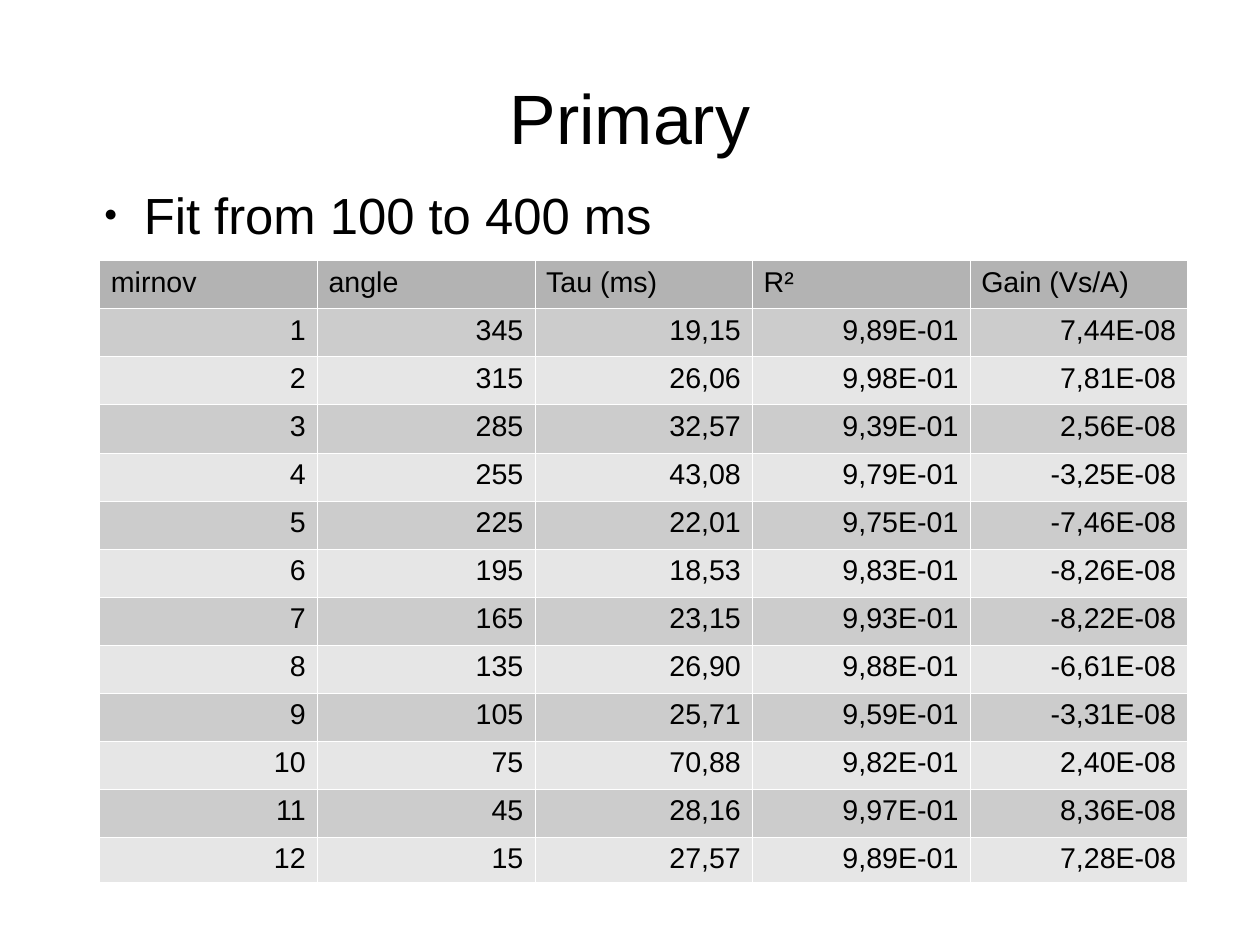
from dataclasses import dataclass

from lxml import etree
from pptx import Presentation
from pptx.dml.color import RGBColor
from pptx.enum.text import MSO_ANCHOR, PP_ALIGN
from pptx.oxml.ns import qn
from pptx.util import Cm, Inches, Pt

CENTER, LEFT, RIGHT = PP_ALIGN.CENTER, PP_ALIGN.LEFT, PP_ALIGN.RIGHT
TOP, MIDDLE = MSO_ANCHOR.TOP, MSO_ANCHOR.MIDDLE
TITLE_ONLY = 5
SLIDE_WIDTH, SLIDE_HEIGHT = Cm(28), Cm(21)


@dataclass(frozen=True)
class Theme:
    """Colours, font and type sizes of the slide."""
    font: str = "Arial"
    ink: str = "000000"
    rule: str = "FFFFFF"
    header: str = "B3B3B3"
    bands: tuple = ("CCCCCC", "E6E6E6")
    title_size: int = 44
    bullet_size: int = 32
    cell_size: int = 18
    rule_width: float = 0.06


THEME = Theme()

HEADINGS = ("mirnov", "angle", "Tau (ms)", "R²", "Gain (Vs/A)")
FITS = (
    ("19,15", "9,89E-01", "7,44E-08"),
    ("26,06", "9,98E-01", "7,81E-08"),
    ("32,57", "9,39E-01", "2,56E-08"),
    ("43,08", "9,79E-01", "-3,25E-08"),
    ("22,01", "9,75E-01", "-7,46E-08"),
    ("18,53", "9,83E-01", "-8,26E-08"),
    ("23,15", "9,93E-01", "-8,22E-08"),
    ("26,90", "9,88E-01", "-6,61E-08"),
    ("25,71", "9,59E-01", "-3,31E-08"),
    ("70,88", "9,82E-01", "2,40E-08"),
    ("28,16", "9,97E-01", "8,36E-08"),
    ("27,57", "9,89E-01", "7,28E-08"),
)
FIRST_ANGLE, ANGLE_STEP = 345, 30


def percent_box(left, top, width, height):
    """Turn percentages of the slide's size into a box."""
    return (round(left * SLIDE_WIDTH / 100), round(top * SLIDE_HEIGHT / 100),
            round(width * SLIDE_WIDTH / 100),
            round(height * SLIDE_HEIGHT / 100))


def style_paragraph(paragraph, size, align):
    """Set the font and alignment of a paragraph."""
    paragraph.alignment = align
    paragraph.font.name = THEME.font
    paragraph.font.size = Pt(size)
    paragraph.font.color.rgb = RGBColor.from_string(THEME.ink)


def clear_frame(frame, anchor):
    """Take the insets off a text frame and anchor its text."""
    frame.margin_left = frame.margin_right = 0
    frame.margin_top = frame.margin_bottom = 0
    frame.vertical_anchor = anchor
    frame.word_wrap = True


def place_title(slide, box, wording):
    """Move the title placeholder into the box and fill it."""
    title = slide.shapes.title
    title.left, title.top, title.width, title.height = box
    title.text_frame.text = wording
    clear_frame(title.text_frame, MIDDLE)
    style_paragraph(title.text_frame.paragraphs[0], THEME.title_size, CENTER)


def place_bullet(slide, box, wording):
    """Write one bulleted line in the box."""
    frame = slide.shapes.add_textbox(*box).text_frame
    clear_frame(frame, TOP)
    line = frame.paragraphs[0]
    line.text = wording
    properties = line._p.get_or_add_pPr()
    properties.set("marL", str(Inches(0.47)))
    properties.set("indent", str(Inches(-0.35)))
    colour = etree.SubElement(properties, qn("a:buClr"))
    etree.SubElement(colour, qn("a:srgbClr"), val=THEME.ink)
    etree.SubElement(properties, qn("a:buSzPct"), val="45000")
    etree.SubElement(properties, qn("a:buFont"), typeface=THEME.font)
    etree.SubElement(properties, qn("a:buChar"), char="●")
    style_paragraph(line, THEME.bullet_size, LEFT)


def rule_cell(cell):
    """Draw a hairline on the four sides of a cell."""
    properties = cell._tc.get_or_add_tcPr()
    for position, side in enumerate(("lnL", "lnR", "lnT", "lnB")):
        border = etree.Element(qn(f"a:{side}"), w=str(Pt(THEME.rule_width)))
        fill = etree.SubElement(border, qn("a:solidFill"))
        etree.SubElement(fill, qn("a:srgbClr"), val=THEME.rule)
        properties.insert(position, border)


def fill_cell(cell, wording, colour, align):
    """Write, colour and rule one cell."""
    cell.text = wording
    cell.margin_left = cell.margin_right = Inches(0.1)
    cell.margin_top = cell.margin_bottom = Inches(0.05)
    cell.fill.solid()
    cell.fill.fore_color.rgb = RGBColor.from_string(colour)
    style_paragraph(cell.text_frame.paragraphs[0], THEME.cell_size, align)
    rule_cell(cell)


def place_fit_table(slide, box, last_row_share):
    """Lay out the fit results in the box, with a shorter last row."""
    records = [HEADINGS] + [
        (str(probe + 1), str(FIRST_ANGLE - ANGLE_STEP * probe), *fit)
        for probe, fit in enumerate(FITS)]
    table = slide.shapes.add_table(len(records), len(HEADINGS), *box).table
    width, height = box[2:]
    for column in table.columns:
        column.width = width // len(HEADINGS)
    row_height = round(height / (len(FITS) + last_row_share))
    for row in table.rows:
        row.height = row_height
    table.rows[len(FITS)].height = round(row_height * last_row_share)
    for row, record in enumerate(records):
        colour = THEME.bands[(row - 1) % 2] if row else THEME.header
        for column, wording in enumerate(record):
            fill_cell(table.cell(row, column), wording, colour,
                      RIGHT if row else LEFT)


def build_fit_slide(presentation):
    """Add the slide with its title, bullet and table."""
    slide = presentation.slides.add_slide(
        presentation.slide_layouts[TITLE_ONLY])
    place_title(slide, percent_box(5, 4, 90, 16.7), "Primary")
    place_fit_table(slide, percent_box(7.9, 27.55, 86.35, 65.85), 0.94)
    place_bullet(slide, percent_box(7.15, 19.42, 47.45, 7.1),
                 "Fit from 100 to 400 ms")


def main():
    """Build and save the presentation."""
    presentation = Presentation()
    presentation.slide_width = SLIDE_WIDTH
    presentation.slide_height = SLIDE_HEIGHT
    build_fit_slide(presentation)
    presentation.save("out.pptx")


if __name__ == "__main__":
    main()
